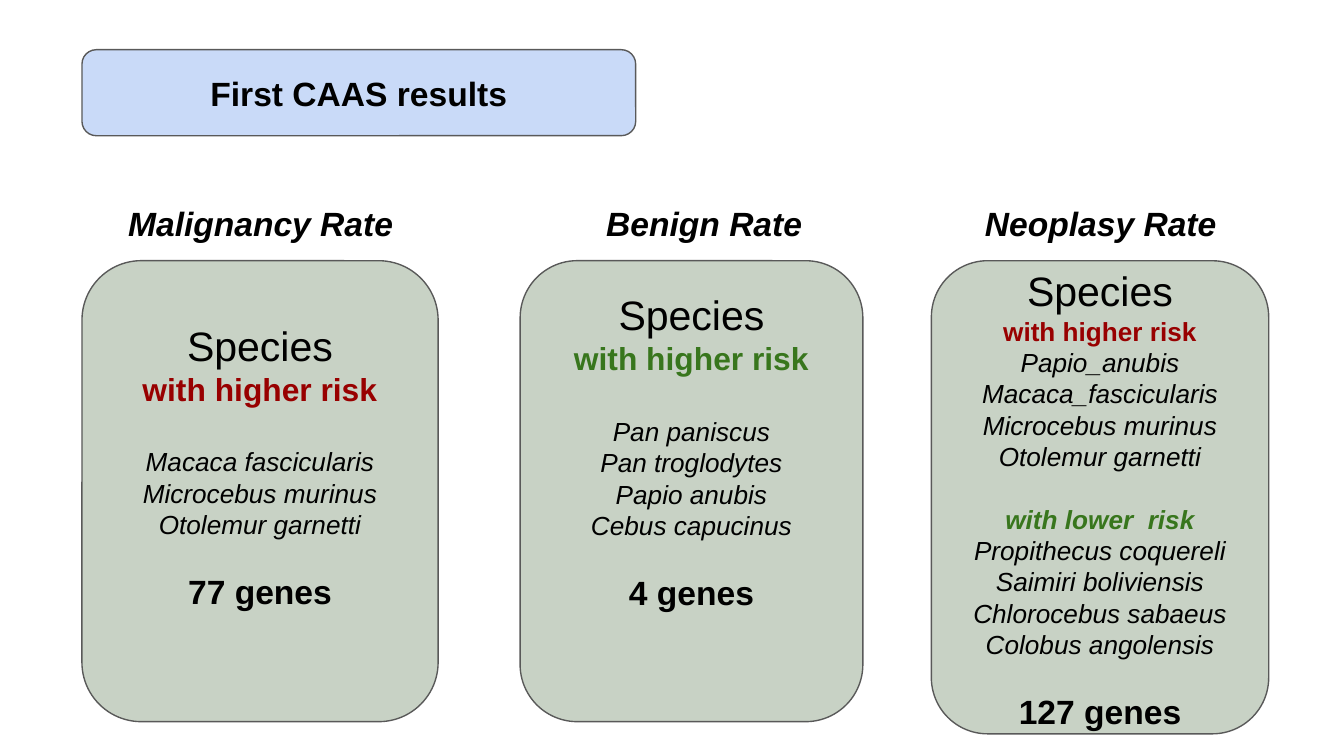
import pptx
import pptx.util
import pptx.dml.color
import pptx.enum.shapes
import pptx.enum.text

Inches, Pt = pptx.util.Inches, pptx.util.Pt
RGBColor = pptx.dml.color.RGBColor

BLACK = RGBColor(0x00, 0x00, 0x00)
RED = RGBColor(0x98, 0x00, 0x00)
GREEN = RGBColor(0x38, 0x76, 0x1D)
BLUE = RGBColor(0xC9, 0xDA, 0xF8)
SAGE = RGBColor(0xC8, 0xD2, 0xC5)
GRAY = RGBColor(0x59, 0x59, 0x59)

# Content: each group is (risk label, colour, label italic, species)
TITLE = "First CAAS results"
CARDS = [
    {"head": "Malignancy Rate", "genes": "77 genes", "size": 17, "gap": 20.5,
     "groups": [("with higher risk", RED, False,
                 ["Macaca fascicularis", "Microcebus murinus", "Otolemur garnetti"])],
     "left": 0.61, "width": 2.65, "height": 3.43, "pad": (0.1, 0.48), "head_left": 0.75},
    {"head": "Benign Rate", "genes": "4 genes", "size": 17, "gap": 20.5,
     "groups": [("with higher risk", GREEN, False,
                 ["Pan paniscus", "Pan troglodytes", "Papio anubis", "Cebus capucinus"])],
     "left": 3.87, "width": 2.55, "height": 3.43, "pad": (0.1, 0.7), "head_left": 4.05},
    {"head": "Neoplasy Rate", "genes": "127 genes", "size": 14, "gap": 0,
     "groups": [("with higher risk", RED, False,
                 ["Papio_anubis", "Macaca_fascicularis", "Microcebus murinus",
                  "Otolemur garnetti"]),
                ("with lower  risk", GREEN, True,
                 ["Propithecus coquereli", "Saimiri boliviensis", "Chlorocebus sabaeus",
                  "Colobus angolensis"])],
     "left": 6.93, "width": 2.51, "height": 3.52, "pad": (0.02, 0), "head_left": 7},
]
WIDTH = 10
TOP = 1.94
BREAK = 16.7  # space between blocks, in points


def line(text, size, color=BLACK, bold=False, italic=False, before=0):
    return text, size, color, bold, italic, before


def write(shape, lines, pad=(0.1, 0.1)):
    frame = shape.text_frame
    frame.word_wrap = True
    frame.margin_left = frame.margin_right = Inches(0.1)
    frame.margin_top, frame.margin_bottom = Inches(pad[0]), Inches(pad[1])
    frame.text = "\n".join(item[0] for item in lines)
    for para, (_, size, color, bold, italic, before) in zip(frame.paragraphs, lines):
        para.alignment = pptx.enum.text.PP_ALIGN.CENTER
        para.space_before = Pt(before)
        font = para.runs[0].font
        font.name, font.size = "Arial", Pt(size)
        font.bold, font.italic = bold, italic
        font.color.rgb = color


def panel(slide, left, top, width, height, fill):
    shape = slide.shapes.add_shape(
        pptx.enum.shapes.MSO_SHAPE.ROUNDED_RECTANGLE,
        Inches(left), Inches(top), Inches(width), Inches(height))
    shape.shadow.inherit = False
    shape.fill.solid()
    shape.fill.fore_color.rgb = fill
    shape.line.color.rgb = GRAY
    shape.line.width = Pt(0.75)
    shape.text_frame.vertical_anchor = pptx.enum.text.MSO_ANCHOR.MIDDLE
    return shape


def card_lines(card):
    lines = [line("Species", 22)]
    for i, (label, color, italic, names) in enumerate(card["groups"]):
        lines.append(line(label, card["size"], color, True, italic, BREAK if i else 0))
        for j, name in enumerate(names):
            lines.append(line(name, 14, italic=True, before=0 if j else card["gap"]))
    lines.append(line(card["genes"], 18, bold=True, before=BREAK))
    return lines


def main():
    # Widescreen page, 16 to 9
    deck = pptx.Presentation()
    deck.slide_width, deck.slide_height = Inches(WIDTH), Inches(WIDTH * 9 / 16)
    slide = deck.slides.add_slide(deck.slide_layouts[6])

    # Title
    write(panel(slide, 0.61, 0.37, 4.12, 0.64, BLUE), [line(TITLE, 18, bold=True)])

    # Cards
    for card in CARDS:
        box = panel(slide, card["left"], TOP, card["width"], card["height"], SAGE)
        write(box, card_lines(card), card["pad"])

    # Headings above the cards
    for card in CARDS:
        head = slide.shapes.add_textbox(
            Inches(card["head_left"]), Inches(1.16), Inches(2.38), Inches(0.45))
        write(head, [line(card["head"], 18, bold=True, italic=True)], (0.4, 0))

    deck.save("out.pptx")


if __name__ == "__main__":
    main()
